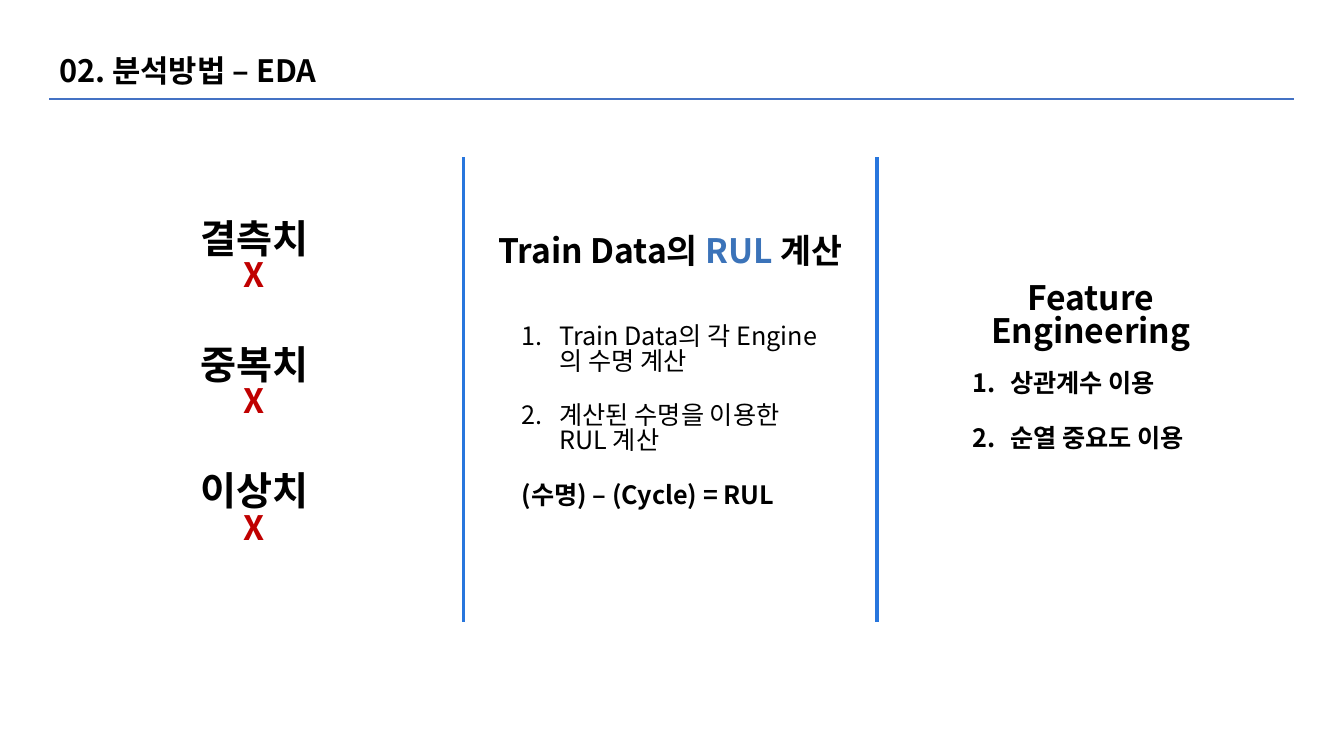
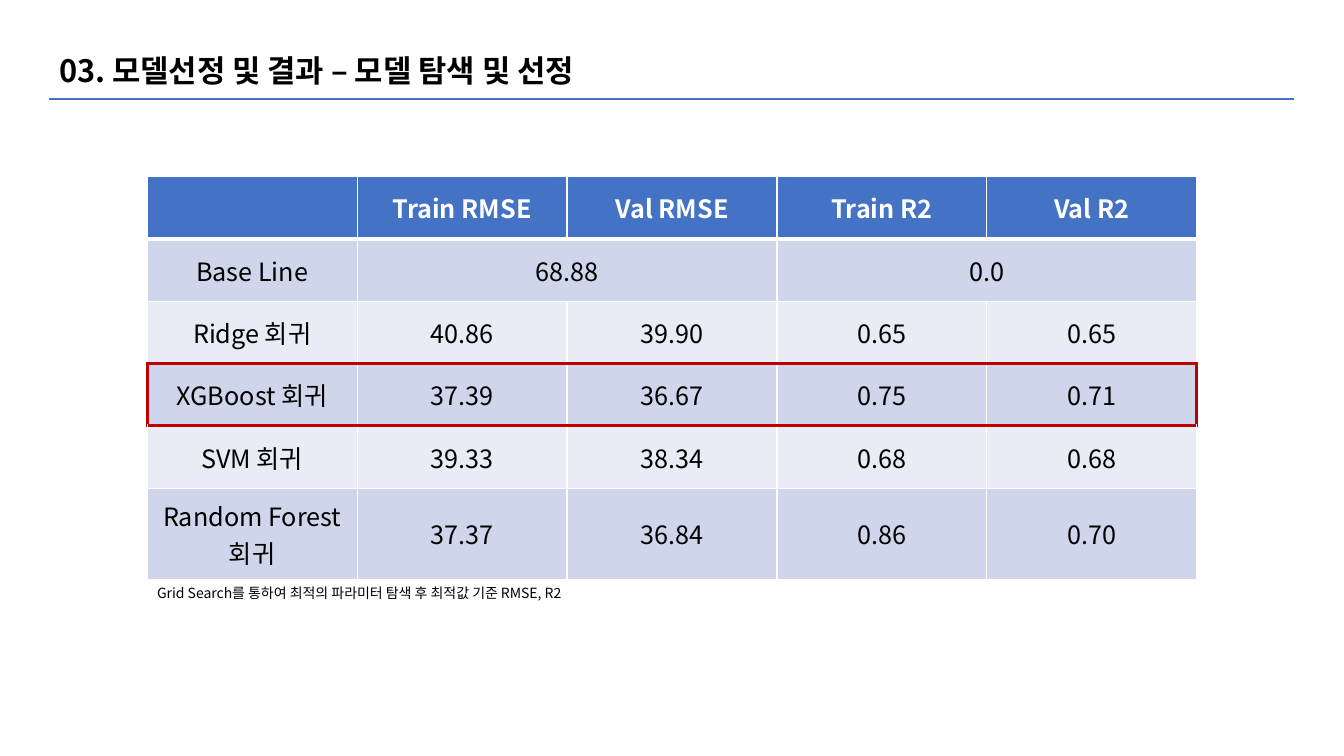
"""Build two slides on data exploration and model choice."""
from lxml.etree import SubElement as Sub
from pptx import Presentation as Deck
from pptx.dml.color import RGBColor as Rgb
from pptx.enum.shapes import MSO_CONNECTOR as Link
from pptx.enum.text import MSO_ANCHOR as Anchor, MSO_AUTO_SIZE as Fit, PP_ALIGN as Align
from pptx.oxml.ns import qn
from pptx.util import Cm, Pt

FONT = "Noto Sans CJK KR"
HUES = {"ink": "000000", "white": "FFFFFF", "rule": "4472C4", "bar": "2876DD",
        "key": "3B73B9", "red": "C00000", "dark": "CFD5EA", "pale": "E9EBF5"}
HEAD = {"size": Pt(22), "bold": True}
WORD = {"size": Pt(28), "bold": True}
TOPIC = {"size": Pt(24), "bold": True}
BODY = {"size": Pt(18), "bold": False}
BOLD = {"size": Pt(18), "bold": True}
NOTE = {"size": Pt(10), "bold": False}
GAP = Pt(21.5)
ROWS = [
    ["", "Train RMSE", "Val RMSE", "Train R2", "Val R2"],
    ["Base Line", "68.88", "", "0.0", ""],
    ["Ridge 회귀", "40.86", "39.90", "0.65", "0.65"],
    ["XGBoost 회귀", "37.39", "36.67", "0.75", "0.71"],
    ["SVM 회귀", "39.33", "38.34", "0.68", "0.68"],
    ["Random Forest 회귀", "37.37", "36.84", "0.86", "0.70"],
]
BEST = 3


def put(item, vals):
    for name, val in vals.items():
        setattr(item, name, val)


def tint(name):
    return Rgb.from_string(HUES[name])


def write(par, text, form, hue="ink"):
    run = par.add_run()
    run.text = text
    put(run.font, {"name": FONT, **form})
    run.font.color.rgb = tint(hue)
    Sub(run.font._element, qn("a:ea"), typeface=FONT)


def box(slide, area, pars, align=Align.LEFT, gap=0, count=0):
    frame = slide.shapes.add_textbox(*map(Cm, area)).text_frame
    put(frame, {"word_wrap": True, "auto_size": Fit.SHAPE_TO_FIT_TEXT,
                "margin_top": Cm(0.2)})
    for i, runs in enumerate(pars):
        par = frame.paragraphs[0] if i == 0 else frame.add_paragraph()
        last = i == len(pars) - 1
        put(par, {"alignment": align, "line_spacing": 0.82,
                  "space_after": Pt(0) if last else gap})
        if i < count:
            props = par._p.get_or_add_pPr()
            props.set("marL", str(Cm(0.95)))
            props.set("indent", str(-Cm(0.95)))
            Sub(props, qn("a:buFont"), typeface=FONT)
            Sub(props, qn("a:buAutoNum"), type="arabicPeriod")
        for run in runs:
            write(par, *run)


def line(slide, ends, hue, width):
    link = slide.shapes.add_connector(Link.STRAIGHT, *map(Cm, ends))
    link.line.color.rgb = tint(hue)
    link.line.width = Pt(width)
    Sub(link._element.spPr, qn("a:effectLst"))


def page(deck, title):
    slide = deck.slides.add_slide(deck.slide_layouts[6])
    line(slide, (1.24, 2.49, 32.61, 2.49), "rule", 1.5)
    box(slide, (1.24, 1.27, 20, 1.19), [[(title, HEAD)]])
    return slide


def edge(cell, side, hue, width):
    props = cell._tc.get_or_add_tcPr()
    rim = Sub(props, qn("a:ln" + side), w=str(Pt(width)))
    fill = Sub(rim, qn("a:solidFill"))
    Sub(fill, qn("a:srgbClr"), val=HUES[hue])


def rims(row, col):
    thin, thick, red = ("white", 1), ("white", 3), ("red", 2.25)
    best = row == BEST
    return {
        "L": red if best and col == 0 else thin,
        "R": red if best and col == len(ROWS[0]) - 1 else thin,
        "T": red if row in (BEST, BEST + 1) else thick if row == 1 else thin,
        "B": red if row in (BEST - 1, BEST) else thick if row == 0 else thin,
    }


def grid(slide):
    size = len(ROWS), len(ROWS[0])
    table = slide.shapes.add_table(*size, *map(Cm, (3.71, 4.45, 26.45, 10.16))).table
    for col in table.columns:
        col.width = Cm(5.29)
    for i, row in enumerate(table.rows):
        row.height = Cm(2.31 if i == len(ROWS) - 1 else 1.57)
    for i, row in enumerate(ROWS):
        form, hue = (BOLD, "white") if i == 0 else (BODY, "ink")
        for j, text in enumerate(row):
            cell = table.cell(i, j)
            for side, rim in rims(i, j).items():
                edge(cell, side, *rim)
            cell.fill.solid()
            cell.fill.fore_color.rgb = tint("rule" if i == 0 else "dark" if i % 2 else "pale")
            cell.vertical_anchor = Anchor.MIDDLE
            par = cell.text_frame.paragraphs[0]
            par.alignment = Align.CENTER
            if text:
                write(par, text, form, hue)
    for j in (1, 3):
        table.cell(1, j).merge(table.cell(1, j + 1))


def explore(deck):
    slide = page(deck, "02. 분석방법 – EDA")
    for x in (11.68, 22.1):
        line(slide, (x, 3.96, x, 15.67), "bar", 2.25)
    for i, word in enumerate(("결측치", "중복치", "이상치")):
        box(slide, (3.5, 5.41 + 3.18 * i, 5.82, 2.49),
            [[(word, WORD)], [("X", TOPIC, "red")]], Align.CENTER)
    box(slide, (12.12, 5.77, 9.55, 1.27),
        [[("Train Data의 ", TOPIC), ("RUL ", TOPIC, "key"), ("계산", TOPIC)]], Align.CENTER)
    box(slide, (12.9, 8, 7.98, 5.64),
        [[("Train Data의 각 Engine의 수명 계산", BODY)],
         [("계산된 수명을 이용한 RUL 계산", BODY)],
         [("(수명) – (Cycle) = RUL", BOLD)]], gap=GAP, count=2)
    box(slide, (23.11, 6.96, 8.76, 1.27), [[("Feature Engineering", TOPIC)]], Align.CENTER)
    box(slide, (24.26, 9.19, 6.48, 2.57),
        [[("상관계수 이용", BOLD)], [("순열 중요도 이용", BOLD)]], gap=GAP, count=2)


def choose(deck):
    slide = page(deck, "03. 모델선정 및 결과 – 모델 탐색 및 선정")
    grid(slide)
    box(slide, (3.71, 14.6, 16.94, 0.69),
        [[("Grid Search를 통하여 최적의 파라미터 탐색 후 최적값 기준 RMSE, R2", NOTE)]])


def main():
    deck = Deck()
    put(deck, {"slide_width": Cm(33.87), "slide_height": Cm(19.05)})
    explore(deck)
    choose(deck)
    deck.save("out.pptx")


if __name__ == "__main__":
    main()
